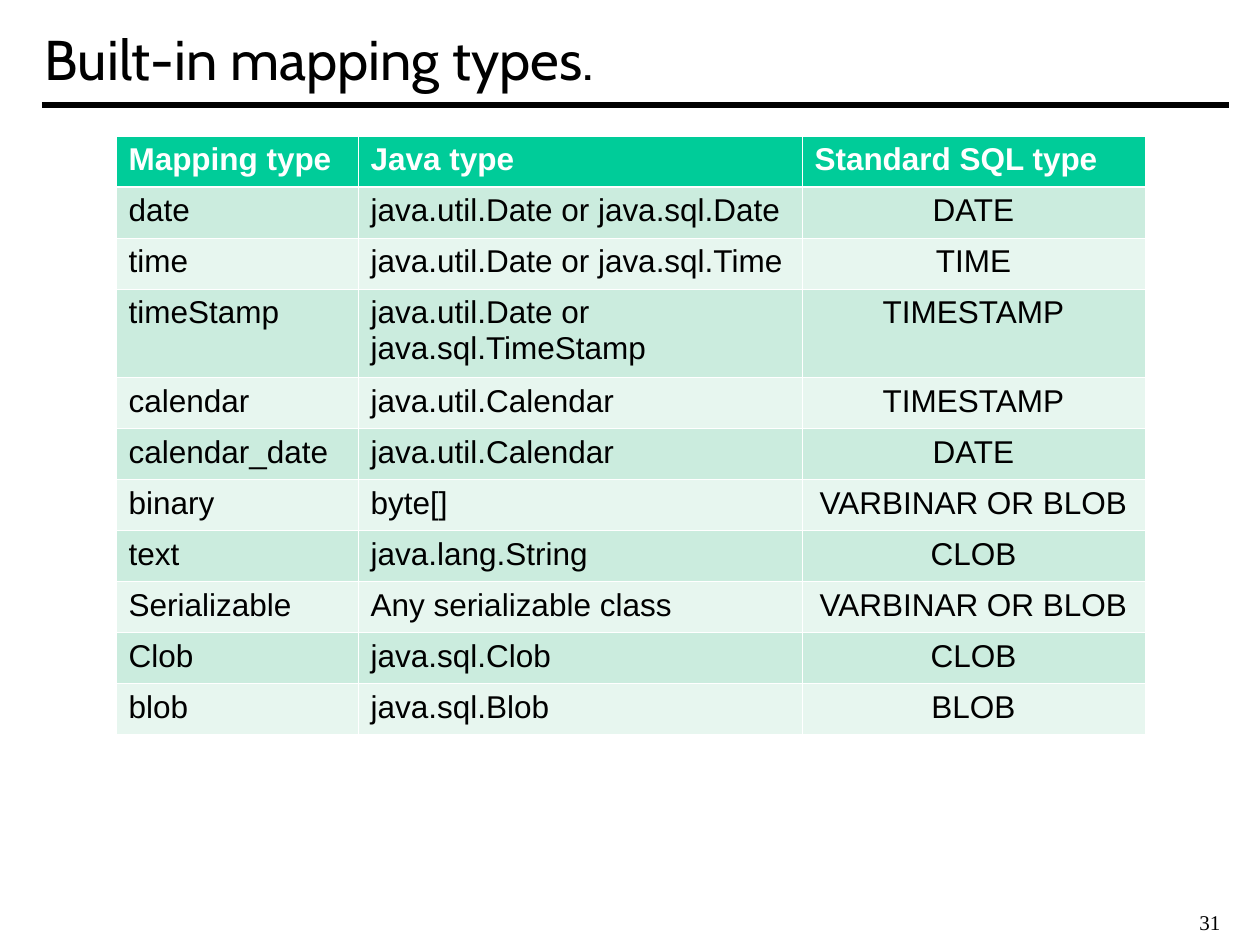
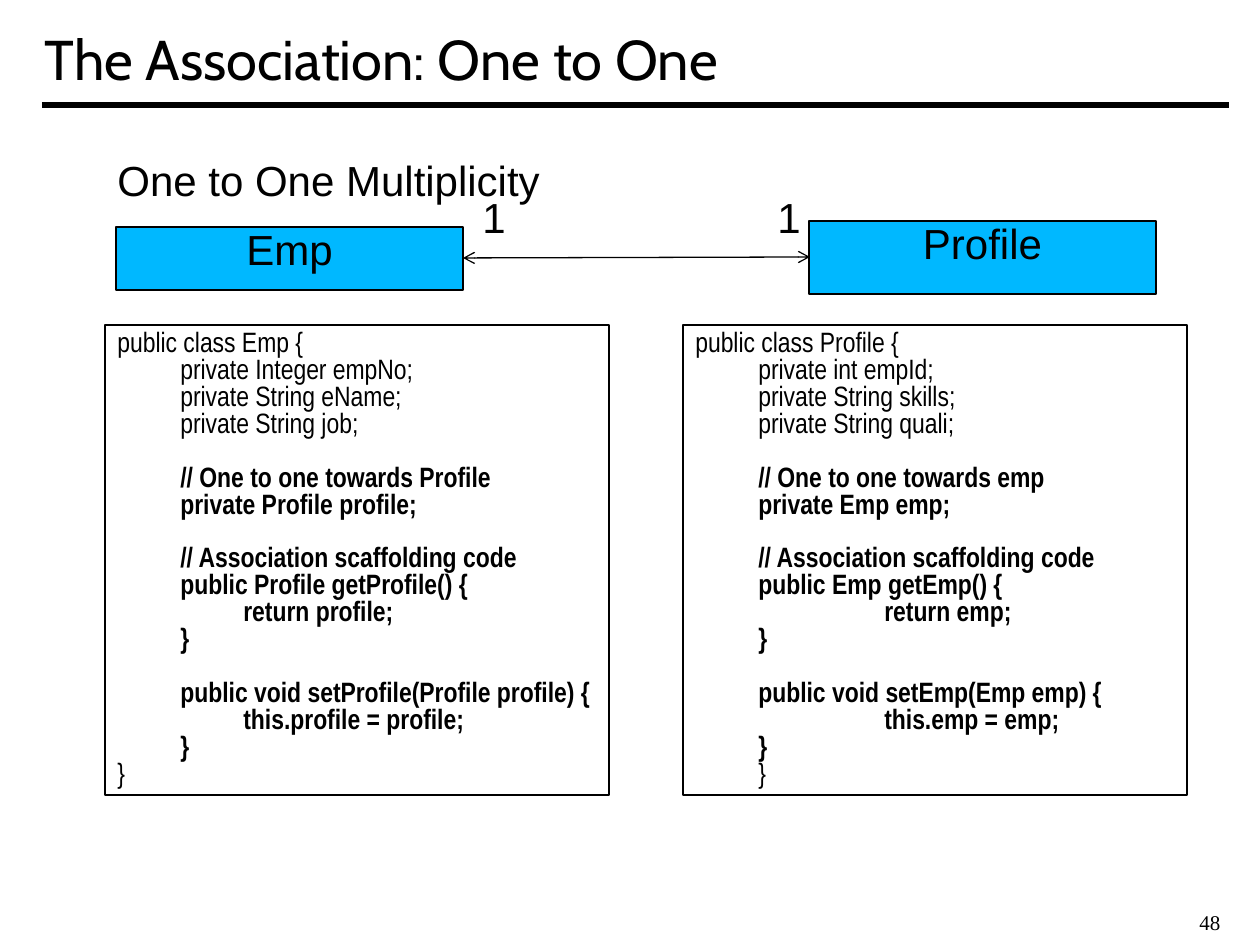
from lxml import etree
from pptx import Presentation
from pptx.dml.color import RGBColor
from pptx.enum.shapes import MSO_CONNECTOR, MSO_SHAPE
from pptx.enum.text import MSO_ANCHOR, PP_ALIGN
from pptx.oxml import parse_xml
from pptx.oxml.ns import nsdecls, qn
from pptx.util import Pt

LEFT, CENTER = PP_ALIGN.LEFT, PP_ALIGN.CENTER
TOP, MIDDLE = MSO_ANCHOR.TOP, MSO_ANCHOR.MIDDLE
RECT = MSO_SHAPE.RECTANGLE
STRAIGHT = MSO_CONNECTOR.STRAIGHT

SCALE = 914400 / 126
BLACK, WHITE = "000000", "FFFFFF"
GREEN, BANDS = "00CC99", ("CBECDE", "E7F6EF")
BLUE = "00B8FF"
SANS, NARROW, SERIF, HEAD = "Arial", "Arial Narrow", "Times New Roman", "Cabin"
TIGHT = 0.8
TAB = 63
CODE_GAP = 15.4

TYPES = [
    ("Mapping type", "Java type", "Standard SQL type"),
    ("date", "java.util.Date or java.sql.Date", "DATE"),
    ("time", "java.util.Date or java.sql.Time", "TIME"),
    ("timeStamp", "java.util.Date or java.sql.TimeStamp", "TIMESTAMP"),
    ("calendar", "java.util.Calendar", "TIMESTAMP"),
    ("calendar_date", "java.util.Calendar", "DATE"),
    ("binary", "byte[]", "VARBINAR OR BLOB"),
    ("text", "java.lang.String", "CLOB"),
    ("Serializable", "Any serializable class", "VARBINAR OR BLOB"),
    ("Clob", "java.sql.Clob", "CLOB"),
    ("blob", "java.sql.Blob", "BLOB"),
]
COLS = (242, 444, 343)
ROW, TALL_ROW = 51, 88

EMP = [
    [(0, "public class Emp {"),
     (1, "private Integer empNo;"),
     (1, "private String eName;"),
     (1, "private String job;")],
    [(1, "// One to one towards Profile"),
     (1, "private Profile profile;")],
    [(1, "// Association scaffolding code"),
     (1, "public Profile getProfile() {"),
     (2, "return profile;"),
     (1, "}")],
    [(1, "public void setProfile(Profile profile) {"),
     (2, "this.profile = profile;"),
     (1, "}"),
     (0, "}")],
]
PROFILE = [
    [(0, "public class Profile {"),
     (1, "private int empId;"),
     (1, "private String skills;"),
     (1, "private String quali;")],
    [(1, "// One to one towards emp"),
     (1, "private Emp emp;")],
    [(1, "// Association scaffolding code"),
     (1, "public Emp getEmp() {"),
     (3, "return emp;"),
     (1, "}")],
    [(1, "public void setEmp(Emp emp) {"),
     (3, "this.emp = emp;"),
     (1, "}"),
     (1, "}")],
]


def px(n):
    return round(n * SCALE)


def place(*nums):
    return [px(n) for n in nums]


def paint(color, hue):
    color.rgb = RGBColor.from_string(hue)


def style(para, size, face=SANS, hue=BLACK, bold=False, align=LEFT, space=None):
    para.alignment = align
    para.line_spacing = space
    font = para.font
    font.size, font.name, font.bold = Pt(size), face, bold
    paint(font.color, hue)


def label(slide, words, box, size=24, face=SANS, align=LEFT, space=TIGHT):
    frame = slide.shapes.add_textbox(*place(*box)).text_frame
    frame.word_wrap = True
    frame.text = words
    style(frame.paragraphs[0], size, face, align=align, space=space)


def block(slide, box, width, fill=None):
    shape = slide.shapes.add_shape(RECT, *place(*box))
    shape.shadow.inherit = False
    if fill:
        shape.fill.solid()
        paint(shape.fill.fore_color, fill)
    else:
        shape.fill.background()
    shape.line.width = Pt(width)
    paint(shape.line.color, BLACK)
    frame = shape.text_frame
    frame.word_wrap = True
    frame.vertical_anchor = TOP
    return frame


def rule(slide, ends, width, arrows=False):
    line = slide.shapes.add_connector(STRAIGHT, *place(*ends))
    line.line.width = Pt(width)
    paint(line.line.color, BLACK)
    props = line._element.spPr
    if arrows:
        for tag in ("a:headEnd", "a:tailEnd"):
            etree.SubElement(props.find(qn("a:ln")), qn(tag), type="arrow")
    etree.SubElement(props, qn("a:effectLst"))


def start(deck, words, page):
    slide = deck.slides.add_slide(deck.slide_layouts[5])
    title = slide.shapes.title
    title.left, title.top, title.width, title.height = place(32, 0, 1197, 116)
    frame = title.text_frame
    frame.text = words
    frame.vertical_anchor = MIDDLE
    style(frame.paragraphs[0], 32, HEAD)
    rule(slide, (42, 105, 1229, 105), 3)
    label(slide, page, (1187, 903, 68, 38), 12, SERIF, space=None)
    return slide


def edge(cell, side, width):
    cell._tc.get_or_add_tcPr().append(parse_xml(
        f'<a:ln{side} {nsdecls("a")} w="{Pt(width)}"><a:solidFill>'
        f'<a:srgbClr val="{WHITE}"/></a:solidFill></a:ln{side}>'))


def fill_cell(cell, words, row, col):
    head = row == 0
    widths = {"L": 0.45, "R": 0.45,
              "T": 1.47 if row == 1 else 0.45,
              "B": 1.47 if head else 0.45}
    for side, width in widths.items():
        edge(cell, side, width)
    cell.fill.solid()
    paint(cell.fill.fore_color, GREEN if head else BANDS[(row - 1) % 2])
    cell.text = words
    style(cell.text_frame.paragraphs[0], 18, hue=WHITE if head else BLACK,
          bold=head, align=CENTER if col == 2 and not head else LEFT)


def grid(slide):
    high = ROW * (len(TYPES) - 1) + TALL_ROW
    table = slide.shapes.add_table(
        len(TYPES), len(COLS), *place(116, 136, sum(COLS), high)).table
    for col, width in enumerate(COLS):
        table.columns[col].width = px(width)
    for row, texts in enumerate(TYPES):
        table.rows[row].height = px(TALL_ROW if row == 3 else ROW)
        for col, words in enumerate(texts):
            fill_cell(table.cell(row, col), words, row, col)


def entity(slide, name, box):
    frame = block(slide, box, 0.75, BLUE)
    frame.text = name
    style(frame.paragraphs[0], 24, align=CENTER, space=TIGHT)


def code(slide, left, parts):
    frame = block(slide, (left, 325, 504, 470), 1.25)
    para = frame.paragraphs[0]
    for part, lines in enumerate(parts):
        for row, (depth, words) in enumerate(lines):
            if part or row:
                para = frame.add_paragraph()
            para.text = words
            para._p.get_or_add_pPr().set("marL", str(px(depth * TAB)))
            last = lines is parts[-1] and row == len(lines) - 1
            style(para, 16, NARROW, bold=part > 0 and not last, space=TIGHT)
            if part and row == 0:
                para.space_before = Pt(CODE_GAP)


def main():
    deck = Presentation()
    deck.slide_width, deck.slide_height = place(1260, 945)

    grid(start(deck, "Built-in mapping types.", "31"))

    slide = start(deck, "The Association: One to One", "48")
    entity(slide, "Emp", (116, 227, 347, 63))
    entity(slide, "Profile", (809, 221, 347, 73))
    rule(slide, (463, 258, 810, 257), 0.75, arrows=True)
    for left in (452, 747):
        label(slide, "1", (left, 195, 84, 53), align=CENTER)
    label(slide, "One to One Multiplicity", (105, 158, 462, 53))
    for left, parts in ((105, EMP), (683, PROFILE)):
        code(slide, left, parts)

    deck.save("out.pptx")


if __name__ == "__main__":
    main()
